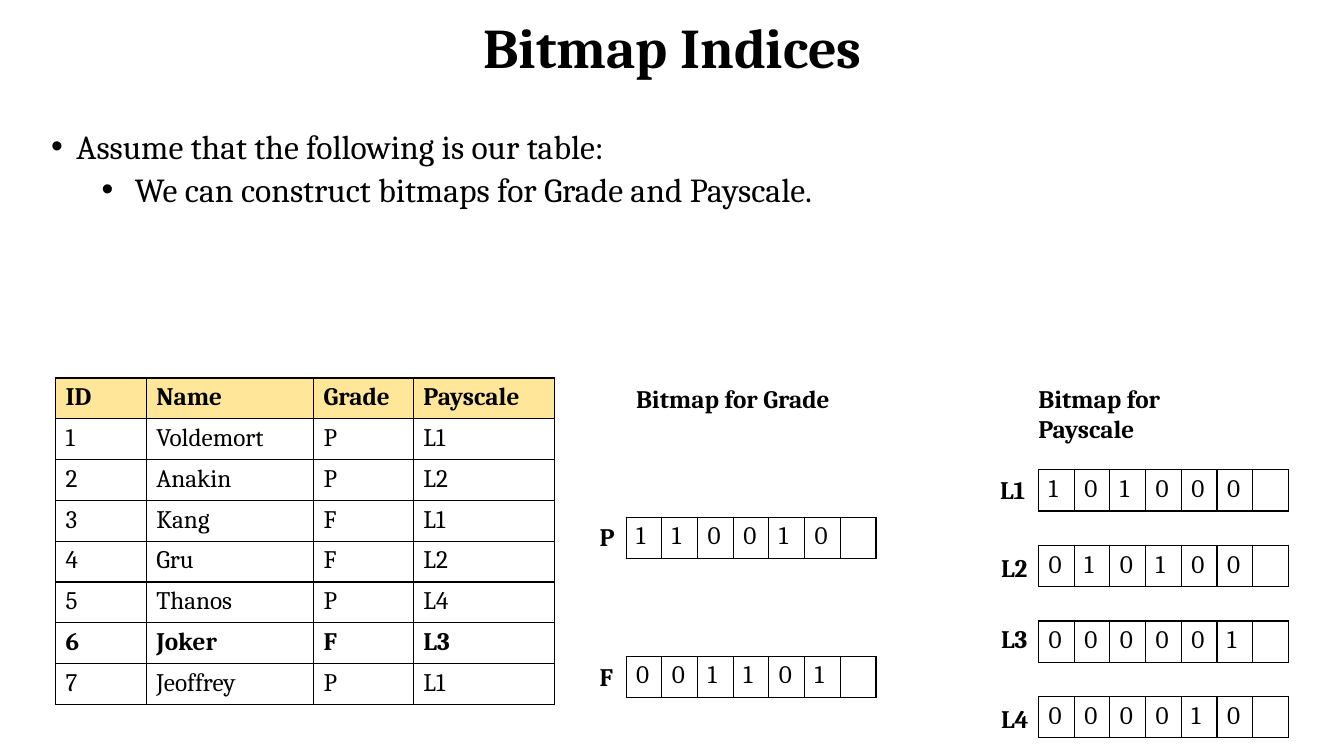
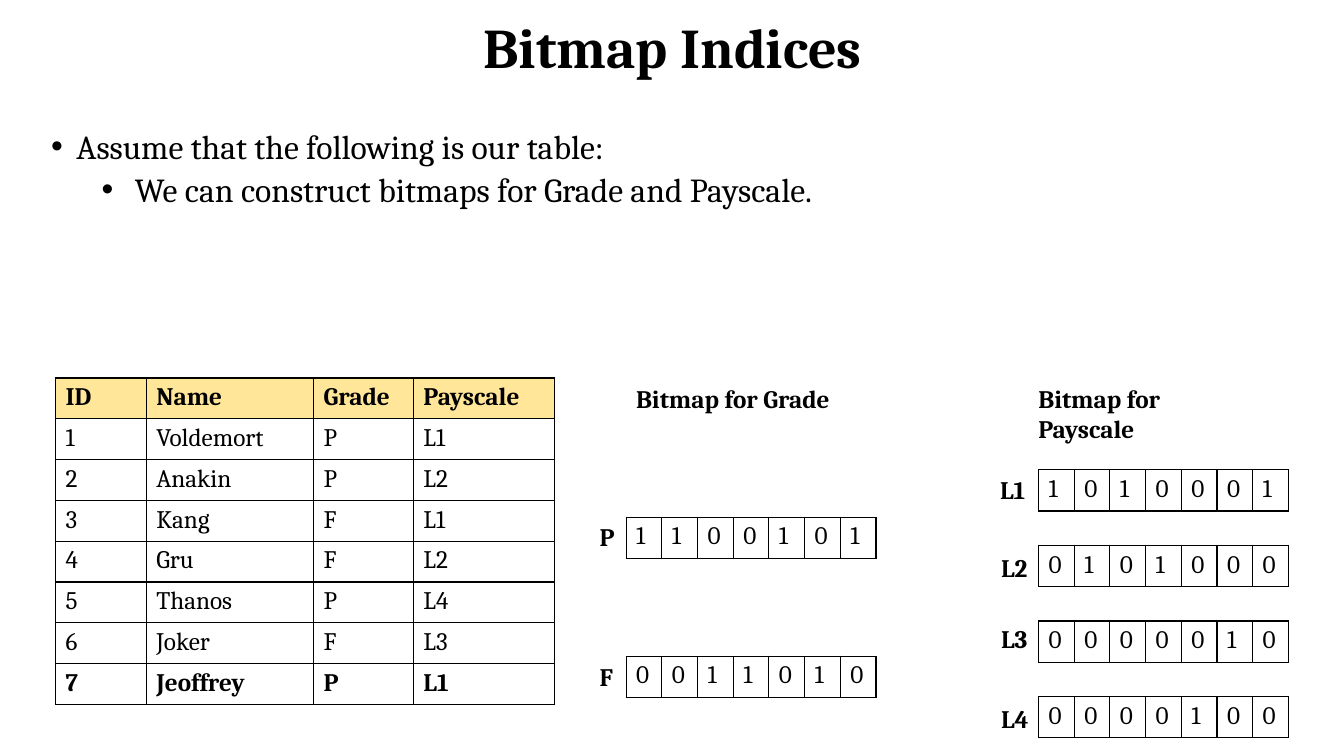
from lxml import etree
from pptx import Presentation
from pptx import util as u
from pptx.dml.color import RGBColor
from pptx.enum import text
from pptx.oxml import ns

# Content
TITLE = "Bitmap Indices"
# text, left margin, hanging indent, space before
BULLETS = [
    ("Assume that the following is our table:", 25, 25, 10),
    ("We can construct bitmaps for Grade and Payscale.", 83, 33, 5),
]
HEADER = ("ID", "Name", "Grade", "Payscale")
ROWS = [
    ("1", "Voldemort", "P", "L1"),
    ("2", "Anakin", "P", "L2"),
    ("3", "Kang", "F", "L1"),
    ("4", "Gru", "F", "L2"),
    ("5", "Thanos", "P", "L4"),
    ("6", "Joker", "F", "L3"),
    ("7", "Jeoffrey", "P", "L1"),
]
# Each group indexes one column; a label has its own left and top
GROUPS = [
    dict(column="Grade", heading_x=621, bits_x=621, top=513, step=138,
         labels=[("P", 585, 512), ("F", 585, 651)]),
    dict(column="Payscale", heading_x=1020, bits_x=1030, top=466, step=75,
         labels=[("L1", 982, 466), ("L2", 983, 543), ("L3", 983, 613), ("L4", 983, 693)]),
]
ROWS_INDEXED = (6, 7)  # rows read so far, one slide each

# Shared look: 100 px to the inch
PX = 9144
FONT = "Cambria"
BLACK = RGBColor(0x00, 0x00, 0x00)
WHITE = RGBColor(0xFF, 0xFF, 0xFF)
GOLD = RGBColor(0xFF, 0xE6, 0x99)
TABLE_X, TABLE_Y, TABLE_H = 55, 375, 324
TABLE_COLS = (90, 166, 99, 140)
BITS_W, ROW_H, LABEL_H = 248, 41, 40


def write(p, words, size=18, bold=False, **paragraph_format):
    for name, value in paragraph_format.items():
        setattr(p, name, value)
    r = p.add_run()
    r.text = words
    look = dict(name=FONT, size=u.Pt(size), bold=bold)
    for name, value in look.items():
        setattr(r.font, name, value)
    r.font.color.rgb = BLACK


def add_box(s, x, y, w, h, **frame_format):
    tf = s.shapes.add_textbox(x * PX, y * PX, w * PX, h * PX).text_frame
    for name, value in {"word_wrap": True, **frame_format}.items():
        setattr(tf, name, value)
    return tf


def add_label(s, words, x, y, w):
    tf = add_box(s, x, y, w, LABEL_H, word_wrap=False,
                 auto_size=text.MSO_AUTO_SIZE.SHAPE_TO_FIT_TEXT)
    write(tf.paragraphs[0], words, bold=True)


def border_cell(cell):
    tc_pr = cell._tc.get_or_add_tcPr()
    for i, side in enumerate(("lnL", "lnR", "lnT", "lnB")):
        line = etree.Element(ns.qn("a:" + side), w=str(u.Pt(1)))
        fill = etree.SubElement(line, ns.qn("a:solidFill"))
        etree.SubElement(fill, ns.qn("a:srgbClr"), val=str(BLACK))
        tc_pr.insert(i, line)


def add_grid(s, rows, x, y, widths, height, header=False, bold_row=None):
    """Draw a bordered table; widths and height are in px."""
    table = s.shapes.add_table(len(rows), len(widths), x * PX, y * PX,
                               int(sum(widths) * PX), height * PX).table
    table.first_row = table.horz_banding = False
    for column, width in zip(table.columns, widths):
        column.width = int(width * PX)
    for i, values in enumerate(rows):
        table.rows[i].height = height * PX // len(rows)
        is_header = header and i == 0
        for j, value in enumerate(values):
            cell = table.cell(i, j)
            cell.fill.solid()
            cell.fill.fore_color.rgb = GOLD if is_header else WHITE
            border_cell(cell)
            write(cell.text_frame.paragraphs[0], value, bold=is_header or i == bold_row)


def add_heading(s):
    tf = add_box(s, 92, 0, 1150, 99, vertical_anchor=text.MSO_ANCHOR.MIDDLE)
    write(tf.paragraphs[0], TITLE, 40, True,
          alignment=text.PP_ALIGN.CENTER, line_spacing=0.9)


def add_bullets(s):
    tf = add_box(s, 41, 124, 1250, 158)
    for i, (words, margin, hanging, before) in enumerate(BULLETS):
        p = tf.add_paragraph() if i else tf.paragraphs[0]
        write(p, words, 24, alignment=text.PP_ALIGN.JUSTIFY,
              line_spacing=0.9, space_before=u.Pt(before))
        p_pr = p._p.get_or_add_pPr()
        p_pr.set("marL", str(margin * PX))
        p_pr.set("indent", str(-hanging * PX))
        etree.SubElement(p_pr, ns.qn("a:buFont"), typeface="Arial")
        etree.SubElement(p_pr, ns.qn("a:buChar"), char="•")


def add_bitmaps(s, group, indexed):
    column = group["column"]
    add_label(s, f"Bitmap for {column}", group["heading_x"], TABLE_Y, 222)
    values = [row[HEADER.index(column)] for row in ROWS]
    for i, (key, x, y) in enumerate(group["labels"]):
        bits = [str(int(value == key)) if n < indexed else ""
                for n, value in enumerate(values)]
        add_label(s, key, x, y, 48 if len(key) > 1 else 36)
        add_grid(s, [bits], group["bits_x"], group["top"] + i * group["step"],
                 [BITS_W / len(bits)] * len(bits), ROW_H)


def main():
    prs = Presentation()
    prs.slide_width, prs.slide_height = u.Inches(13.33), u.Inches(7.5)
    for indexed in ROWS_INDEXED:
        s = prs.slides.add_slide(prs.slide_layouts[6])
        add_heading(s)
        add_bullets(s)
        add_grid(s, [HEADER, *ROWS], TABLE_X, TABLE_Y, TABLE_COLS, TABLE_H,
                 header=True, bold_row=indexed)
        for group in GROUPS:
            add_bitmaps(s, group, indexed)
    prs.save("out.pptx")


if __name__ == "__main__":
    main()
